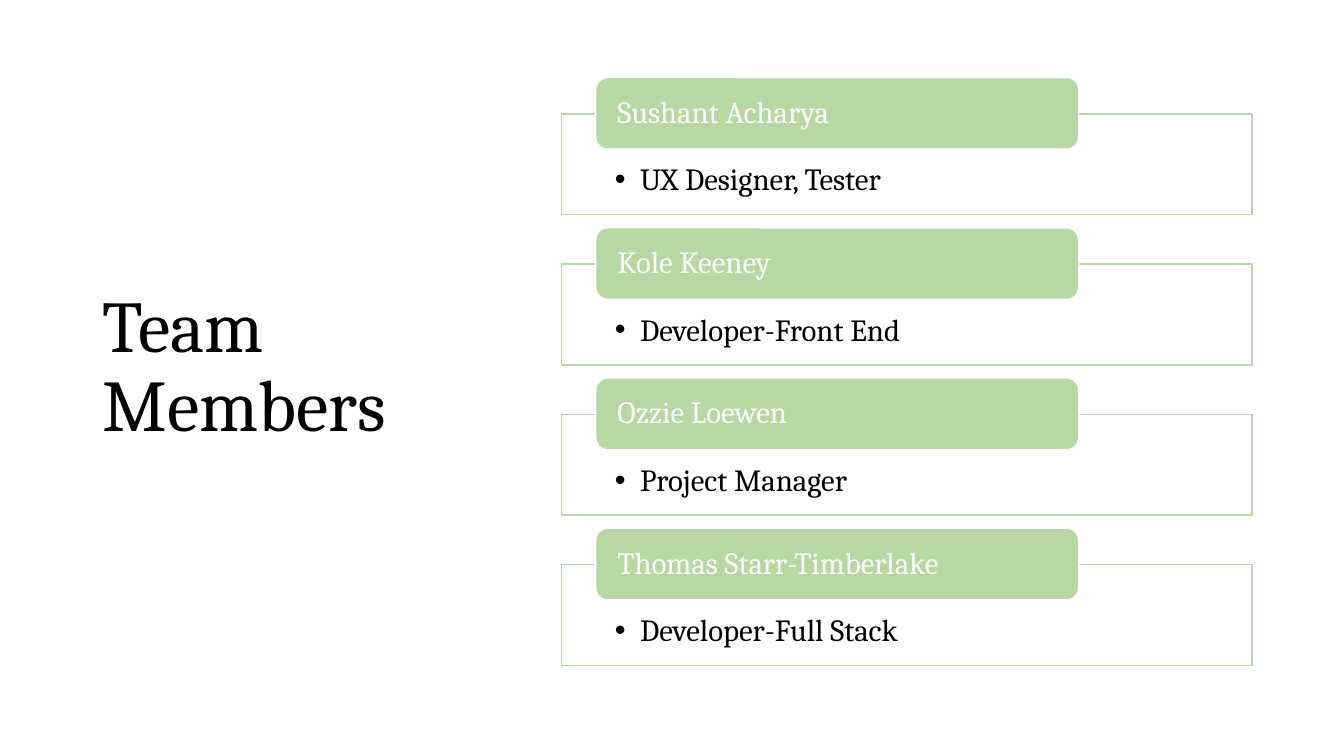
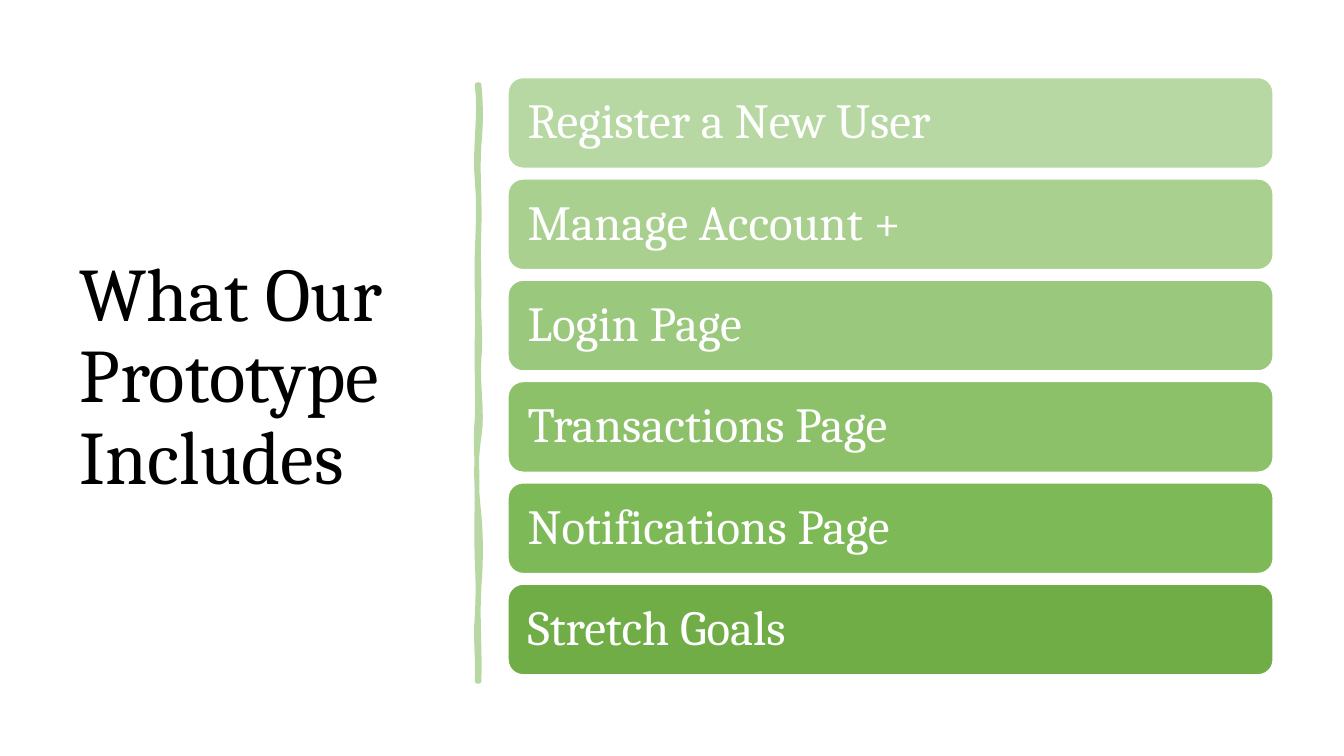
"""Build two slides: the team members and the contents of the prototype."""
from dataclasses import dataclass, replace

from lxml import etree
from pptx import Presentation, util as u
from pptx.dml.color import RGBColor
from pptx.enum import shapes, text
from pptx.oxml.ns import qn

WIDTH, HEIGHT = u.Inches(13.33), u.Inches(7.5)
FONT = "Cambria"
COLORS = {
    "ink": "000000",
    "paper": "FFFFFF",
    "green1": "B7D8A2",
    "green2": "A9D08F",
    "green3": "9AC87C",
    "green4": "8CC169",
    "green5": "7DB956",
    "green6": "70AD47",
}


@dataclass(frozen=True)
class Area:
    """A rectangle in percent of the slide's width and height."""
    left: float
    top: float
    width: float
    height: float

    def down(self, distance: float) -> "Area":
        return replace(self, top=self.top + distance)

    def emu(self) -> tuple[int, int, int, int]:
        return (across(self.left), along(self.top),
                across(self.width), along(self.height))


@dataclass(frozen=True)
class Style:
    """The look of a box and its text; insets are in inches."""
    preset: shapes.MSO_SHAPE
    fill: str
    line: str
    ink: str
    size: int
    insets: tuple[float, float, float, float]
    anchor: text.MSO_ANCHOR = text.MSO_ANCHOR.MIDDLE
    bullet: bool = False


@dataclass(frozen=True)
class Member:
    name: str
    role: str


@dataclass(frozen=True)
class Sway:
    """A bend of the divider's edge, ending at a percentage of its height."""
    first: int
    second: int
    end: int


MEMBERS = [
    Member("Sushant Acharya", "UX Designer, Tester"),
    Member("Kole Keeney", "Developer-Front End"),
    Member("Ozzie Loewen", "Project Manager"),
    Member("Thomas Starr-Timberlake", "Developer-Full Stack"),
]
FEATURES = ["Register a New User", "Manage Account +", "Login Page",
            "Transactions Page", "Notifications Page", "Stretch Goals"]

ROLE_AREA = Area(41.78, 15.07, 51.38, 13.33)
NAME_AREA = Area(44.33, 10.27, 35.93, 9.47)
MEMBER_PITCH = 19.87
FEATURE_AREA = Area(37.8, 10.27, 56.93, 12)
FEATURE_PITCH = 13.4
DIVIDER = Area(35.5, 11.2, 0.15, 78.93)
SWAY_UNIT = 0.075
RIGHT_EDGE = [Sway(2, 2, 10), Sway(-2, 1, 24), Sway(-1, 0, 35), Sway(-1, 2, 46),
              Sway(-2, 4, 59), Sway(-4, -3, 72), Sway(2, 2, 84), Sway(-2, 1, 100)]
LEFT_EDGE = [Sway(1, -2, 89), Sway(1, 1, 80), Sway(-1, 0, 66), Sway(0, -2, 56),
             Sway(1, -1, 42), Sway(1, -1, 28), Sway(1, 2, 16), Sway(-3, 4, 0)]

ROLE = Style(shapes.MSO_SHAPE.RECTANGLE, "paper", "green1", "ink", 22,
             (0.53, 0.5, 0.53, 0.17), text.MSO_ANCHOR.TOP, bullet=True)
NAME = Style(shapes.MSO_SHAPE.ROUNDED_RECTANGLE, "green1", "paper", "paper", 22,
             (0.18, 0, 0.18, 0))
FEATURE = Style(shapes.MSO_SHAPE.ROUNDED_RECTANGLE, "green1", "paper", "paper", 35,
                (0.15, 0.15, 0.15, 0.15))


def across(percent: float) -> int:
    return round(WIDTH * percent / 100)


def along(percent: float) -> int:
    return round(HEIGHT * percent / 100)


def rgb(color: str) -> RGBColor:
    return RGBColor.from_string(COLORS[color])


def paint(shape, fill: str, line: str, weight: float) -> None:
    shape.shadow.inherit = False
    shape.fill.solid()
    shape.fill.fore_color.rgb = rgb(fill)
    shape.line.color.rgb = rgb(line)
    shape.line.width = u.Pt(weight)


def write(frame, wording: str, size: int, ink: str, anchor: text.MSO_ANCHOR):
    frame.word_wrap = True
    frame.auto_size = text.MSO_AUTO_SIZE.NONE
    frame.vertical_anchor = anchor
    paragraph = frame.paragraphs[0]
    paragraph.alignment = text.PP_ALIGN.LEFT
    paragraph.line_spacing = 0.9
    run = paragraph.add_run()
    run.text = wording
    run.font.name = FONT
    run.font.size = u.Pt(size)
    run.font.color.rgb = rgb(ink)
    return paragraph


def add_bullet(paragraph) -> None:
    properties = paragraph._p.get_or_add_pPr()
    indent = u.Inches(0.25)
    properties.set("marL", str(indent))
    properties.set("indent", str(-indent))
    etree.SubElement(properties, qn("a:buFont")).set("typeface", "Arial")
    etree.SubElement(properties, qn("a:buChar")).set("char", "•")


def add_box(slide, area: Area, wording: str, style: Style) -> None:
    box = slide.shapes.add_shape(style.preset, *area.emu())
    paint(box, style.fill, style.line, 1)
    frame = box.text_frame
    (frame.margin_left, frame.margin_top,
     frame.margin_right, frame.margin_bottom) = map(u.Inches, style.insets)
    paragraph = write(frame, wording, style.size, style.ink, style.anchor)
    if style.bullet:
        add_bullet(paragraph)


def add_titled_slide(deck, heading: str, area: Area, size: int):
    slide = deck.slides.add_slide(deck.slide_layouts[5])
    title = slide.shapes.title
    title.left, title.top, title.width, title.height = area.emu()
    write(title.text_frame, heading, size, "ink", text.MSO_ANCHOR.MIDDLE)
    return slide


def edge_points(left: float, start: int, sways: list[Sway],
                steps: int = 8) -> list[tuple[int, int]]:
    points = []
    for sway in sways:
        for step in range(1, steps + 1):
            t = step / steps
            bend = 3 * t * (1 - t) * ((1 - t) * sway.first + t * sway.second)
            depth = start + (sway.end - start) * t
            points.append((across(left + bend * SWAY_UNIT),
                           along(DIVIDER.top + DIVIDER.height * depth / 100)))
        start = sway.end
    return points


def add_divider(slide) -> None:
    right = DIVIDER.left + DIVIDER.width
    outline = slide.shapes.build_freeform(across(right), along(DIVIDER.top))
    outline.add_line_segments(edge_points(right, 0, RIGHT_EDGE)
                              + [(across(DIVIDER.left),
                                  along(DIVIDER.top + DIVIDER.height))]
                              + edge_points(DIVIDER.left, 100, LEFT_EDGE))
    paint(outline.convert_to_shape(), "green1", "green1", 3.25)


def add_team(deck) -> None:
    slide = add_titled_slide(deck, "Team Members", Area(6.9, 8.13, 27.68, 81.2), 52)
    for row, member in enumerate(MEMBERS):
        add_box(slide, ROLE_AREA.down(row * MEMBER_PITCH), member.role, ROLE)
        add_box(slide, NAME_AREA.down(row * MEMBER_PITCH), member.name, NAME)


def add_prototype(deck) -> None:
    slide = add_titled_slide(deck, "What Our Prototype Includes",
                             Area(5.18, 9.33, 28.05, 81.47), 54)
    add_divider(slide)
    for row, feature in enumerate(FEATURES):
        add_box(slide, FEATURE_AREA.down(row * FEATURE_PITCH), feature,
                replace(FEATURE, fill=f"green{row + 1}"))


def main() -> None:
    deck = Presentation()
    deck.slide_width, deck.slide_height = WIDTH, HEIGHT
    add_team(deck)
    add_prototype(deck)
    deck.save("out.pptx")


if __name__ == "__main__":
    main()
